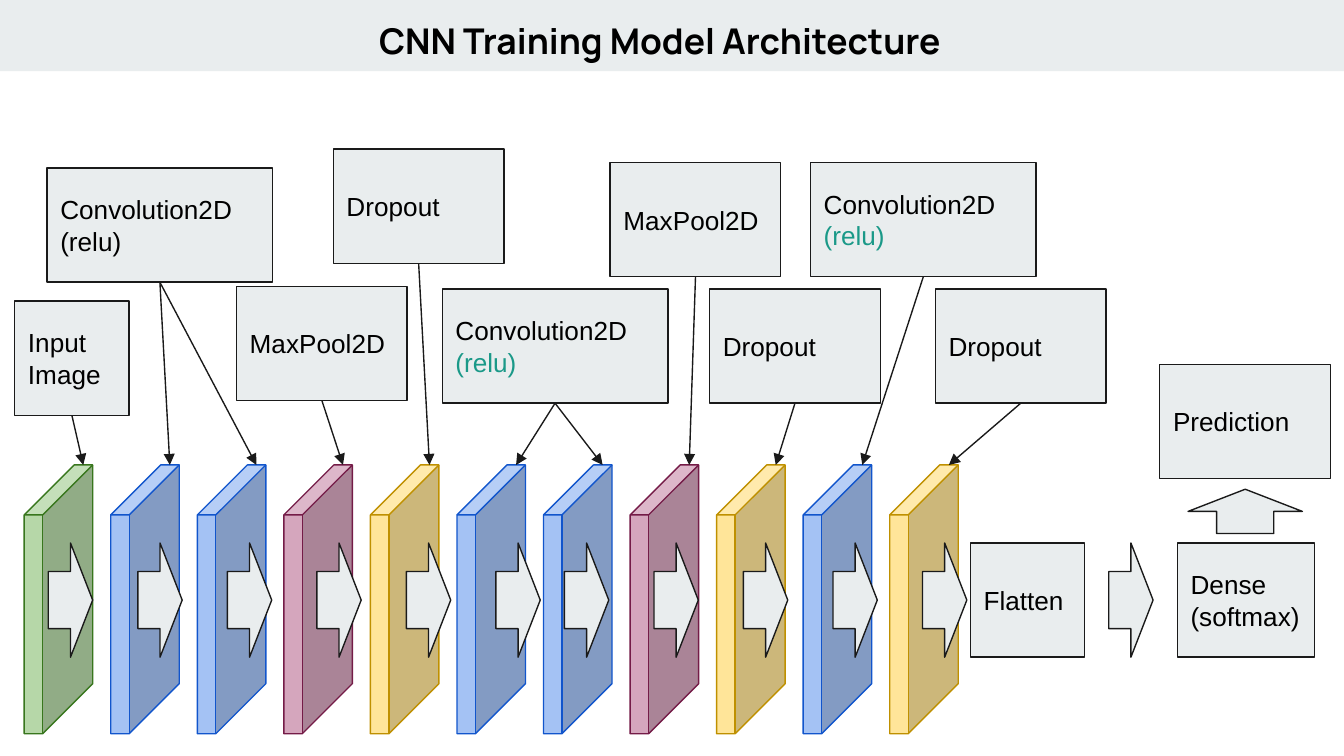
from lxml.etree import SubElement
from pptx import Presentation
from pptx.dml.color import RGBColor
from pptx.enum.shapes import MSO_CONNECTOR, MSO_SHAPE
from pptx.enum.text import MSO_ANCHOR, MSO_AUTO_SIZE, PP_ALIGN
from pptx.oxml.ns import qn
from pptx.util import Inches, Pt

GREY, INK, BLACK, TEAL = "E9EDEE", "1A1A1A", "000000", "1A9988"

prs = Presentation()
prs.slide_width = Inches(10)
prs.slide_height = prs.slide_width * 9 // 16
s = prs.slides.add_slide(prs.slide_layouts[5])
CELL = prs.slide_width / 100  # square grid, 100 columns wide


def color(fmt, value):
    fmt.rgb = RGBColor.from_string(value)


def add_shape(kind, left, top, width, height, fill=GREY, line=INK):
    """Add a flat shape placed in grid cells."""
    sp = s.shapes.add_shape(kind, *(round(v * CELL) for v in (left, top, width, height)))
    sp.shadow.inherit = False
    sp.fill.solid()
    color(sp.fill.fore_color, fill)
    if line:
        color(sp.line.color, line)
        sp.line.width = Pt(0.75)
    else:
        sp.line.fill.background()
    return sp


# Header band and title
band = add_shape(MSO_SHAPE.RECTANGLE, 0, 0, 100, 5.3, line=None)
s.shapes._spTree.insert(2, band._element)  # behind the title

title = s.shapes.title
title.left, title.top, title.width, title.height = (
    round(v * CELL) for v in (23.4, 0.4, 51.4, 5.2))
tf = title.text_frame
tf.text = "CNN Training Model Architecture"
tf.auto_size = MSO_AUTO_SIZE.NONE
tf.vertical_anchor = MSO_ANCHOR.MIDDLE
p = tf.paragraphs[0]
p.alignment = PP_ALIGN.CENTER
p.font.name, p.font.size, p.font.bold = "Manrope", Pt(19), True
color(p.font.color, BLACK)

# Label boxes: left, top, width, lines, colour of last line, layers pointed at
BOX_H = FLOW_H = 8.5
FLOW_TOP = 40.4
labels = [
    (1.1, 22.4, 8.5, ["Input Image"], BLACK, [0]),
    (3.5, 12.5, 16.8, ["Convolution2D", "(relu)"], BLACK, [1, 2]),
    (17.6, 21.3, 12.7, ["MaxPool2D"], BLACK, [3]),
    (24.8, 11.1, 12.7, ["Dropout"], BLACK, [4]),
    (32.9, 21.5, 16.8, ["Convolution2D", "(relu)"], TEAL, [5, 6]),
    (45.4, 12.1, 12.7, ["MaxPool2D"], BLACK, [7]),
    (52.8, 21.5, 12.7, ["Dropout"], BLACK, [8]),
    (60.3, 12.1, 16.8, ["Convolution2D", "(relu)"], TEAL, [9]),
    (69.6, 21.5, 12.7, ["Dropout"], BLACK, [10]),
    (72.2, FLOW_TOP, 8.5, ["Flatten"], BLACK, []),
    (87.6, FLOW_TOP, 10.2, ["Dense", "(softmax)"], BLACK, []),
    (86.3, 27.1, 12.7, ["Prediction"], BLACK, []),
]
links = []
for left, top, width, lines, last_color, targets in labels:
    box = add_shape(MSO_SHAPE.RECTANGLE, left, top, width, BOX_H)
    tf = box.text_frame
    tf.word_wrap = True
    tf.vertical_anchor = MSO_ANCHOR.MIDDLE
    tf.margin_left = tf.margin_right = tf.margin_top = tf.margin_bottom = Inches(0.1)
    tf.text = "\n".join(lines)
    for p in tf.paragraphs:
        p.alignment = PP_ALIGN.LEFT
        p.font.name, p.font.size = "Arial", Pt(14)
        color(p.font.color, BLACK)
    color(p.font.color, last_color)
    links += [(box, layer) for layer in targets]

# Network layers
GREEN, BLUE = ("B6D7A8", "38761D"), ("A4C2F4", "1155CC")
PINK, YELLOW = ("D5A6BD", "741B47"), ("FFE599", "BF9000")
LAYER_LEFT, LAYER_TOP, LAYER_STEP = 1.8, 34.6, 6.44
layers = [GREEN, BLUE, BLUE, PINK, YELLOW, BLUE, BLUE, PINK, YELLOW, BLUE, YELLOW]
for i, (fill, line) in enumerate(layers):
    cube = add_shape(MSO_SHAPE.CUBE, LAYER_LEFT + i * LAYER_STEP, LAYER_TOP, 5.1, 20, fill, line)
    cube.adjustments[0] = 0.73

# Flow arrows: two even runs over the layers, then on to the prediction
ARROW_W, ARROW_STEP = 3.3, 6.66
arrow_lefts = [3.6 + i * ARROW_STEP for i in range(6)]
arrow_lefts += [42 + i * ARROW_STEP for i in range(5)]
for left in arrow_lefts + [82.5]:
    add_shape(MSO_SHAPE.RIGHT_ARROW, left, FLOW_TOP, ARROW_W, FLOW_H)
up = add_shape(MSO_SHAPE.RIGHT_ARROW, 91, 33.8, ARROW_W, FLOW_H)
up.rotation = 270

# Pointers from the labels to the layers
for box, layer in links:
    x = round((LAYER_LEFT + layer * LAYER_STEP + 4.4) * CELL)
    y = round(LAYER_TOP * CELL)
    c = s.shapes.add_connector(MSO_CONNECTOR.STRAIGHT, 0, 0, x, y)
    c.begin_connect(box, 2)  # bottom middle
    color(c.line.color, INK)
    c.line.width = Pt(0.75)
    SubElement(c.line._get_or_add_ln(), qn("a:tailEnd"), type="triangle")
    SubElement(c._element.spPr, qn("a:effectLst"))

prs.save("out.pptx")
